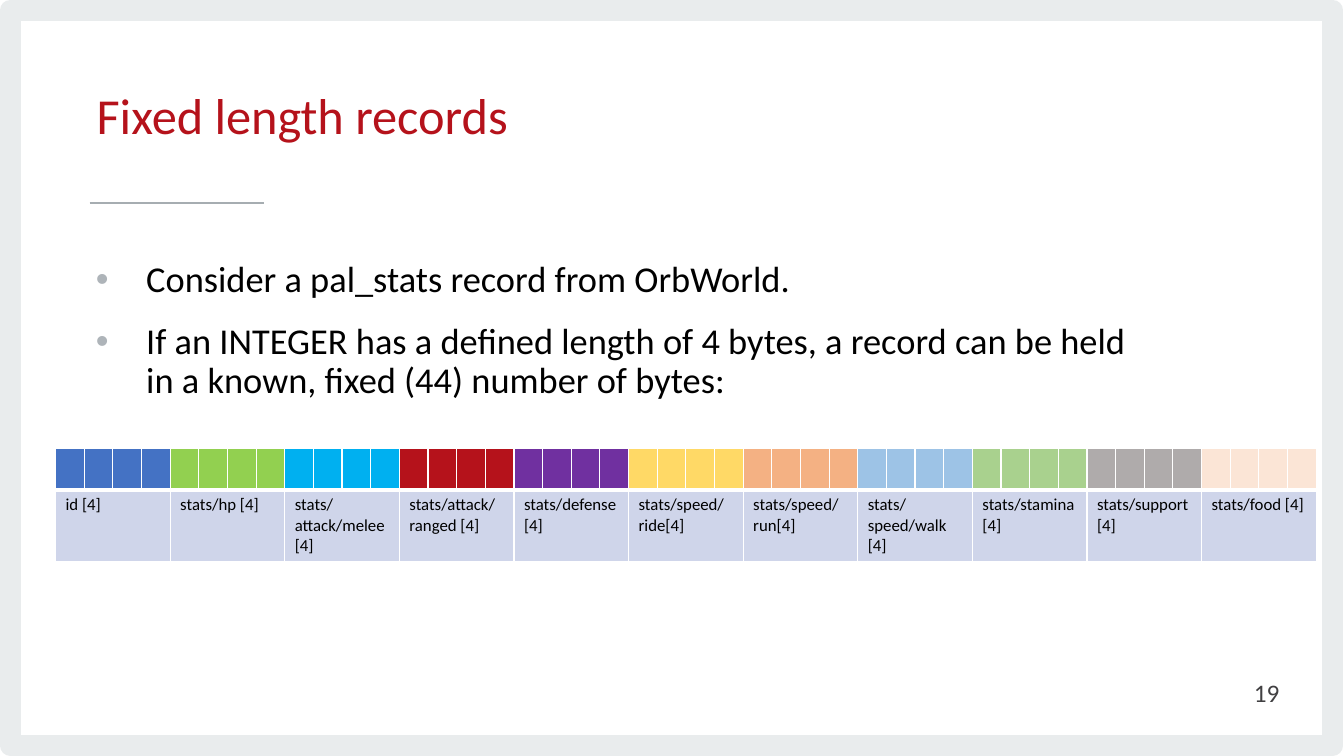
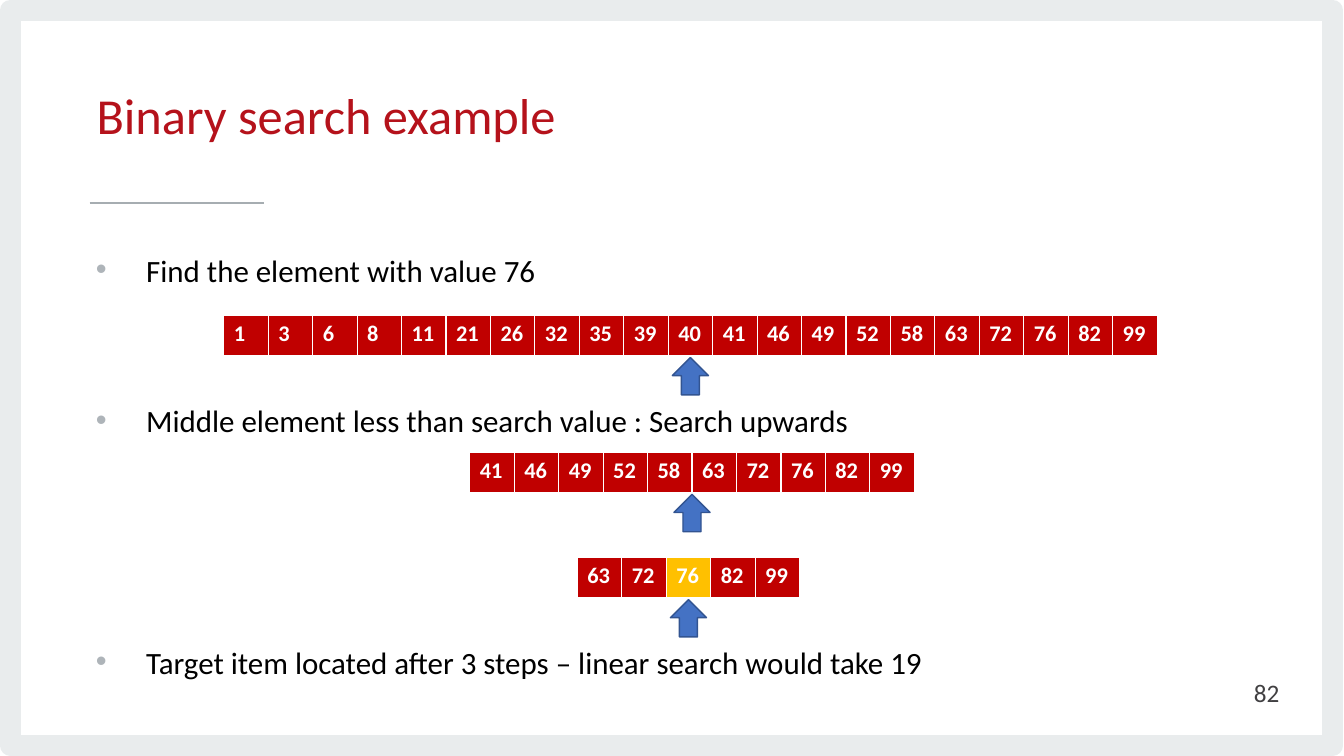
from pptx import Presentation
from pptx.dml.color import RGBColor
from pptx.enum.shapes import MSO_CONNECTOR, MSO_SHAPE
from pptx.enum.text import MSO_ANCHOR, MSO_AUTO_SIZE, PP_ALIGN
from pptx.oxml.ns import qn
from pptx.util import Cm, Pt
from lxml import etree

RECTANGLE, UP_ARROW = MSO_SHAPE.RECTANGLE, MSO_SHAPE.UP_ARROW
STRAIGHT = MSO_CONNECTOR.STRAIGHT
MIDDLE, NO_FIT = MSO_ANCHOR.MIDDLE, MSO_AUTO_SIZE.NONE
LEFT, RIGHT = PP_ALIGN.LEFT, PP_ALIGN.RIGHT

FONT = "Calibri"
RED, DARK_RED, GOLD, BLUE = "B5121B", "C00000", "FFC000", "4472C4"
WHITE, BLACK = "FFFFFF", "000000"
FRAME_GREY, RULE_GREY, BULLET_GREY, NUMBER_GREY = "E9ECED", "A6ADB1", "AEB4B9", "414042"
LABEL_FILL, ARROW_EDGE = "CFD5EA", "325491"

BYTES_PER_FIELD = 4
ROW_HEIGHT = 1.04
VALUE_WIDTH = 1.12

FIELDS = [
    ("id [4]", BLUE),
    ("stats/hp [4]", "92D050"),
    ("stats/attack/melee [4]", "00B0F0"),
    ("stats/attack/ranged [4]", RED),
    ("stats/defense [4]", "7030A0"),
    ("stats/speed/ride[4]", "FFD966"),
    ("stats/speed/run[4]", "F4B183"),
    ("stats/speed/walk [4]", "9DC3E6"),
    ("stats/stamina [4]", "A9D18E"),
    ("stats/support [4]", "AFABAB"),
    ("stats/food [4]", "FBE5D6"),
]
VALUES = [1, 3, 6, 8, 11, 21, 26, 32, 35, 39, 40, 41, 46, 49, 52, 58, 63, 72, 76, 82, 99]
TARGET = 76


def rgb(hex_colour):
    """Turn a hex string into a colour."""
    return RGBColor.from_string(hex_colour)


def add_run(paragraph, text, size, colour, bold=False):
    """Add one formatted run."""
    run = paragraph.add_run()
    run.text = text
    run.font.name, run.font.size, run.font.bold = FONT, Pt(size), bold
    run.font.color.rgb = rgb(colour)


def place(shape, left, top, width, height):
    """Move a shape to a box given in centimetres."""
    shape.left, shape.top = Cm(left), Cm(top)
    shape.width, shape.height = Cm(width), Cm(height)


def add_bullet(paragraph):
    """Give a paragraph a hanging grey bullet."""
    properties = paragraph._p.get_or_add_pPr()
    properties.set("marL", str(Cm(1.27)))
    properties.set("indent", str(-Cm(1.27)))
    colour = etree.SubElement(properties, qn("a:buClr"))
    etree.SubElement(colour, qn("a:srgbClr"), val=BULLET_GREY)
    etree.SubElement(properties, qn("a:buFont"), typeface="Arial")
    etree.SubElement(properties, qn("a:buChar"), char="•")


def add_base_slide(deck, title, number):
    """Add a slide with its frame, rule, title and page number."""
    slide = deck.slides.add_slide(deck.slide_layouts[1])
    frame = slide.shapes.add_shape(RECTANGLE, Cm(0.26), Cm(0.26), Cm(33.33), Cm(18.52))
    frame.shadow.inherit = False
    frame.fill.background()
    frame.line.color.rgb, frame.line.width = rgb(FRAME_GREY), Pt(15.11)

    rule = slide.shapes.add_connector(STRAIGHT, Cm(2.26), Cm(5.11), Cm(6.65), Cm(5.11))
    rule.line.color.rgb, rule.line.width = rgb(RULE_GREY), Pt(1.33)
    etree.SubElement(rule._element.spPr, qn("a:effectLst"))

    heading = slide.shapes.title
    place(heading, 2.18, 1.32, 22.33, 3.4)
    heading.text_frame.auto_size = NO_FIT
    heading.text_frame.vertical_anchor = MIDDLE
    heading_line = heading.text_frame.paragraphs[0]
    heading_line.alignment, heading_line.line_spacing = LEFT, Pt(34.7)
    add_run(heading_line, title, 36, RED)

    page = slide.shapes.add_textbox(Cm(24.87), Cm(16.94), Cm(7.62), Cm(1.02)).text_frame
    page.word_wrap, page.vertical_anchor = True, MIDDLE
    page.paragraphs[0].alignment = RIGHT
    add_run(page.paragraphs[0], str(number), 18, NUMBER_GREY)
    return slide


def fill_body(slide, height, points, size, line_spacing):
    """Fill the body with pairs of text and space before."""
    body = slide.placeholders[1]
    place(body, 2.16, 6.46, 27.05, height)
    frame = body.text_frame
    frame.auto_size = NO_FIT
    for index, (text, space_before) in enumerate(points):
        point = frame.add_paragraph() if index else frame.paragraphs[0]
        add_bullet(point)
        point.line_spacing = line_spacing
        point.space_before, point.space_after = Pt(space_before), Pt(6)
        add_run(point, text, size, BLACK)


def add_grid(slide, left, top, width, row_heights, columns):
    """Add a plain table with equal columns."""
    height = sum(row_heights)
    grid = slide.shapes.add_table(
        len(row_heights), columns, Cm(left), Cm(top), Cm(width), Cm(height)
    ).table
    grid.first_row = grid.horz_banding = False
    for column in grid.columns:
        column.width = Cm(width / columns)
    for row, row_height in zip(grid.rows, row_heights):
        row.height = Cm(row_height)
    return grid


def style_cell(cell, fill, bottom_width):
    """Give a cell white borders and a solid fill."""
    properties = cell._tc.get_or_add_tcPr()
    for side, width in (("L", 1), ("R", 1), ("T", 1), ("B", bottom_width)):
        border = etree.SubElement(properties, qn(f"a:ln{side}"), w=str(Pt(width)))
        solid = etree.SubElement(border, qn("a:solidFill"))
        etree.SubElement(solid, qn("a:srgbClr"), val=WHITE)
    cell.fill.solid()
    cell.fill.fore_color.rgb = rgb(fill)


def add_record(slide, left, top, width):
    """Draw the record as coloured bytes above their field labels."""
    columns = len(FIELDS) * BYTES_PER_FIELD
    record = add_grid(slide, left, top, width, [ROW_HEIGHT, 1.8], columns)
    for index, (label, colour) in enumerate(FIELDS):
        first = index * BYTES_PER_FIELD
        last = first + BYTES_PER_FIELD - 1
        for column in range(first, last + 1):
            style_cell(record.cell(0, column), colour, 3)
            style_cell(record.cell(1, column), LABEL_FILL, 1)
        field = record.cell(1, first)
        field.merge(record.cell(1, last))
        add_run(field.text_frame.paragraphs[0], label, 12, BLACK)


def add_search_step(slide, left, top, values, found=None):
    """Draw the remaining values with an arrow centred below."""
    width = len(values) * VALUE_WIDTH
    row = add_grid(slide, left, top, width, [ROW_HEIGHT], len(values))
    for column, value in enumerate(values):
        cell = row.cell(0, column)
        style_cell(cell, GOLD if value == found else DARK_RED, 3)
        add_run(cell.text_frame.paragraphs[0], str(value), 16, WHITE, True)

    arrow_width, arrow_height = 0.91, 0.94
    pointer = slide.shapes.add_shape(
        UP_ARROW,
        Cm(left + (width - arrow_width) / 2), Cm(top + ROW_HEIGHT + 0.02),
        Cm(arrow_width), Cm(arrow_height),
    )
    pointer.shadow.inherit = False
    pointer.fill.solid()
    pointer.fill.fore_color.rgb = rgb(BLUE)
    pointer.line.color.rgb, pointer.line.width = rgb(ARROW_EDGE), Pt(1)


def add_record_slide(deck):
    """Build the slide on fixed length records."""
    slide = add_base_slide(deck, "Fixed length records", 19)
    fill_body(slide, 10.72, [
        ("Consider a pal_stats record from OrbWorld.", 0),
        ("If an INTEGER has a defined length of 4 bytes, a record can be held "
         "in a known, fixed (44) number of bytes:", 10),
    ], 26, 0.9)
    add_record(slide, 1.4, 11.3, 31.8)


def add_search_slide(deck):
    """Build the slide on binary search."""
    slide = add_base_slide(deck, "Binary search example", 82)
    fill_body(slide, 11.53, [
        ("Find the element with value 76", 0),
        ("Middle element less than search value : Search upwards", 83),
        ("Target item located after 3 steps – linear search would take 19", 148),
    ], 22.1, 0.7)
    add_search_step(slide, 5.64, 7.95, VALUES)
    add_search_step(slide, 11.84, 11.4, VALUES[11:])
    add_search_step(slide, 14.55, 14.05, VALUES[16:], TARGET)


def main():
    """Build and save the deck."""
    deck = Presentation()
    deck.slide_width, deck.slide_height = Cm(33.87), Cm(19.05)
    add_record_slide(deck)
    add_search_slide(deck)
    deck.save("out.pptx")


if __name__ == "__main__":
    main()
